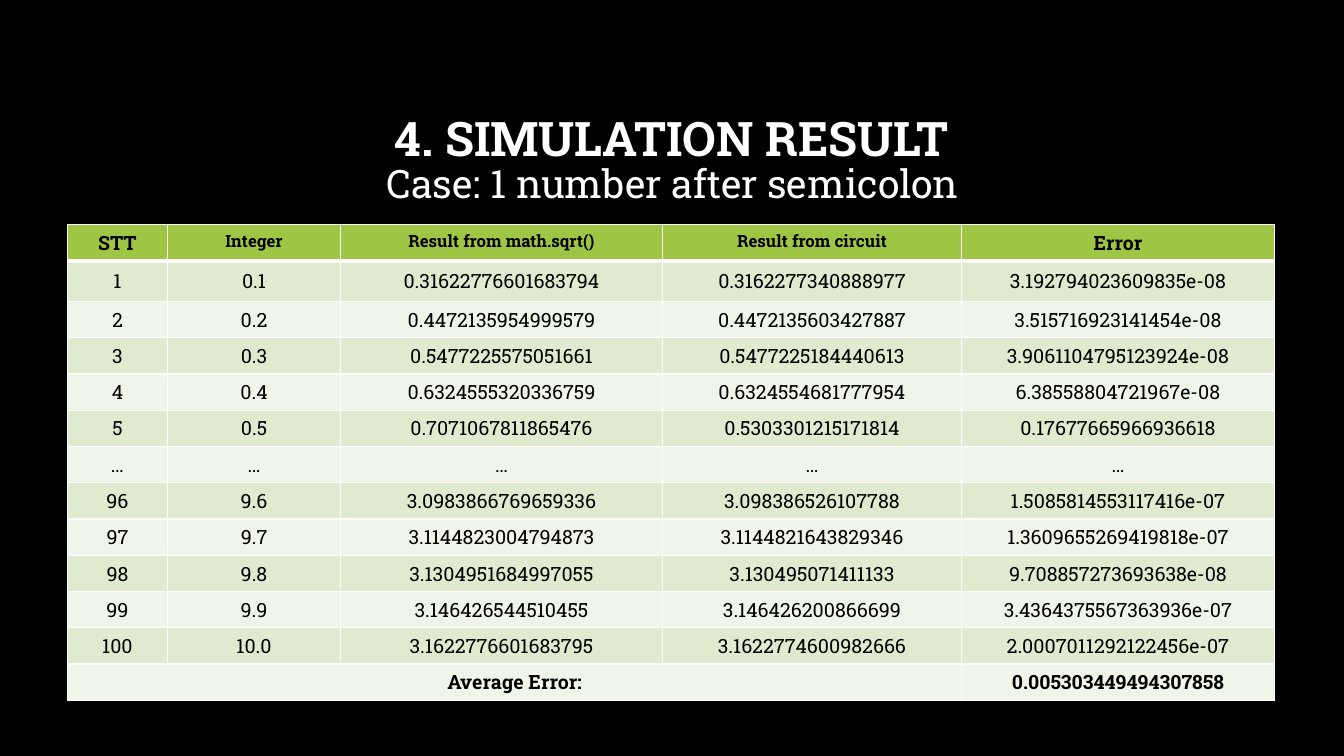
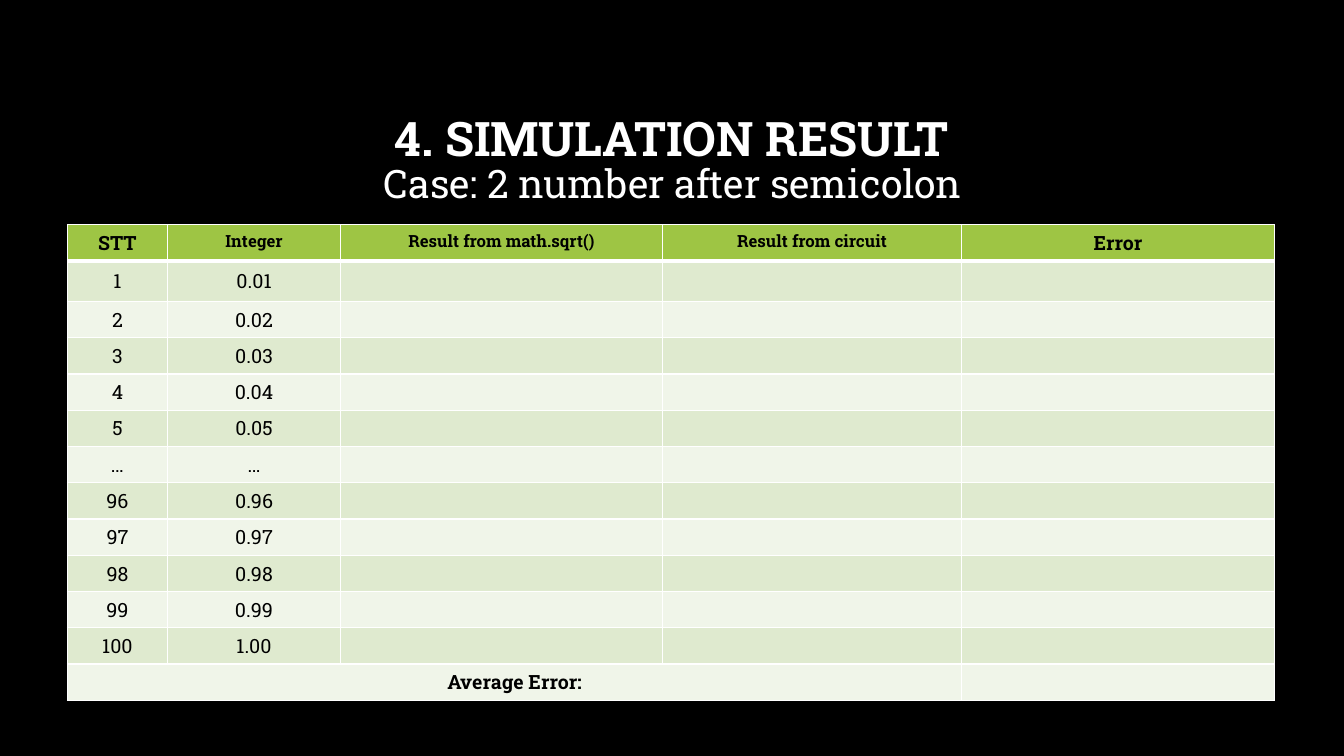
from lxml.etree import SubElement
from pptx import Presentation
from pptx.dml.color import RGBColor
from pptx.enum.text import MSO_ANCHOR, PP_ALIGN
from pptx.oxml import parse_xml
from pptx.oxml.ns import nsdecls, qn
from pptx.util import Inches, Pt

FONT = "Roboto Slab"
BLACK, WHITE = "000000", "FFFFFF"
GREEN, BANDS = "9EC544", ("F0F5E9", "DFEACF")
TITLE_BOX = (1, 0.67, 11.32, 1.45)
CASE_BOX = (0.92, 1.58, 11.5, 0.54)
TABLE_BOX = (0.67, 2.23, 11.98, 4.72)
COLUMNS = (0.99, 1.72, 3.19, 2.97, 3.1)
ROWS = (0.36, 0.4) + (0.36,) * 11
HEADERS = ("STT", "Integer", "Result from math.sqrt()", "Result from circuit", "Error")
HEADER_SIZES = (14, 12, 12, 12, 14)
NUMBERS = (1, 2, 3, 4, 5, None, 96, 97, 98, 99, 100)
GAP = "…"
RESULTS = (
    ("0.31622776601683794", "0.3162277340888977", "3.192794023609835e-08"),
    ("0.4472135954999579", "0.4472135603427887", "3.515716923141454e-08"),
    ("0.5477225575051661", "0.5477225184440613", "3.9061104795123924e-08"),
    ("0.6324555320336759", "0.6324554681777954", "6.38558804721967e-08"),
    ("0.7071067811865476", "0.5303301215171814", "0.17677665966936618"),
    (GAP, GAP, GAP),
    ("3.0983866769659336", "3.098386526107788", "1.5085814553117416e-07"),
    ("3.1144823004794873", "3.1144821643829346", "1.3609655269419818e-07"),
    ("3.1304951684997055", "3.130495071411133", "9.708857273693638e-08"),
    ("3.146426544510455", "3.146426200866699", "3.4364375567363936e-07"),
    ("3.1622776601683795", "3.1622774600982666", "2.0007011292122456e-07"),
)
NO_RESULTS = (("", "", ""),) * len(NUMBERS)


def rgb(color):
    """Turn a hex string into a colour."""
    return RGBColor.from_string(color)


def write(tf, text, size, color, bold=False, spacing=None):
    """Write one centred paragraph in the shared font."""
    p = tf.paragraphs[0]
    p.text = text
    p.alignment = PP_ALIGN.CENTER
    p.line_spacing = spacing
    for r in p.runs:
        r.font.name, r.font.size, r.font.bold = FONT, Pt(size), bold
        r.font.color.rgb = rgb(color)
    if not text:
        SubElement(p._p, qn("a:endParaRPr"), sz=str(size * 100))
    return p


def add_borders(cell, top, bottom):
    """Draw white borders round a cell with the given top and bottom widths."""
    tc_pr = cell._tc.get_or_add_tcPr()
    widths = {"lnL": 1, "lnR": 1, "lnT": top, "lnB": bottom}
    for i, (side, width) in enumerate(widths.items()):
        tc_pr.insert(i, parse_xml(
            f'<a:{side} {nsdecls("a")} w="{Pt(width)}"><a:solidFill>'
            f'<a:srgbClr val="{WHITE}"/></a:solidFill></a:{side}>'))


def add_heading(slide, title, case):
    """Place the slide title and the case line below it."""
    sp = slide.shapes.title
    sp.left, sp.top, sp.width, sp.height = map(Inches, TITLE_BOX)
    sp.text_frame.vertical_anchor = MSO_ANCHOR.MIDDLE
    write(sp.text_frame, title, 34, WHITE, True, 0.9)
    tf = slide.shapes.add_textbox(*map(Inches, CASE_BOX)).text_frame
    tf.word_wrap = True
    write(tf, case, 28, WHITE, spacing=0.9).space_before = Pt(10)


def add_results(slide, box, rows):
    """Place the banded table with its header and its average row."""
    table = slide.shapes.add_table(len(rows), len(COLUMNS), *map(Inches, box)).table
    table.horz_banding = False
    for column, width in zip(table.columns, COLUMNS):
        column.width = Inches(width)
    last = len(rows) - 1
    for i, values in enumerate(rows):
        table.rows[i].height = Inches(ROWS[i])
        for j, text in enumerate(values):
            cell = table.cell(i, j)
            cell.fill.solid()
            cell.fill.fore_color.rgb = rgb(BANDS[i % 2] if i else GREEN)
            cell.vertical_anchor = MSO_ANCHOR.MIDDLE if i else MSO_ANCHOR.TOP
            size = 14 if i else HEADER_SIZES[j]
            write(cell.text_frame, text, size, BLACK, i in (0, last))
            add_borders(cell, 3 if i == 1 else 1, 1 if i else 3)
    table.cell(last, 0).merge(table.cell(last, 3))


def add_case_slide(prs, digits, results, average):
    """Add the slide for one count of decimal digits."""
    slide = prs.slides.add_slide(prs.slide_layouts[5])
    add_heading(slide, "4. SIMULATION RESULT", f"Case: {digits} number after semicolon")
    rows = [HEADERS]
    for n, result in zip(NUMBERS, results):
        label = (str(n), f"{n / 10 ** digits:.{digits}f}") if n else (GAP, GAP)
        rows.append(label + result)
    rows.append(("Average Error:", "", "", "", average))
    add_results(slide, TABLE_BOX, rows)


def main():
    """Build and save the presentation."""
    prs = Presentation()
    prs.slide_width, prs.slide_height = Inches(13.33), Inches(7.5)
    fill = prs.slide_master.background.fill
    fill.solid()
    fill.fore_color.rgb = rgb(BLACK)
    add_case_slide(prs, 1, RESULTS, "0.005303449494307858")
    add_case_slide(prs, 2, NO_RESULTS, "")
    prs.save("out.pptx")


if __name__ == "__main__":
    main()
